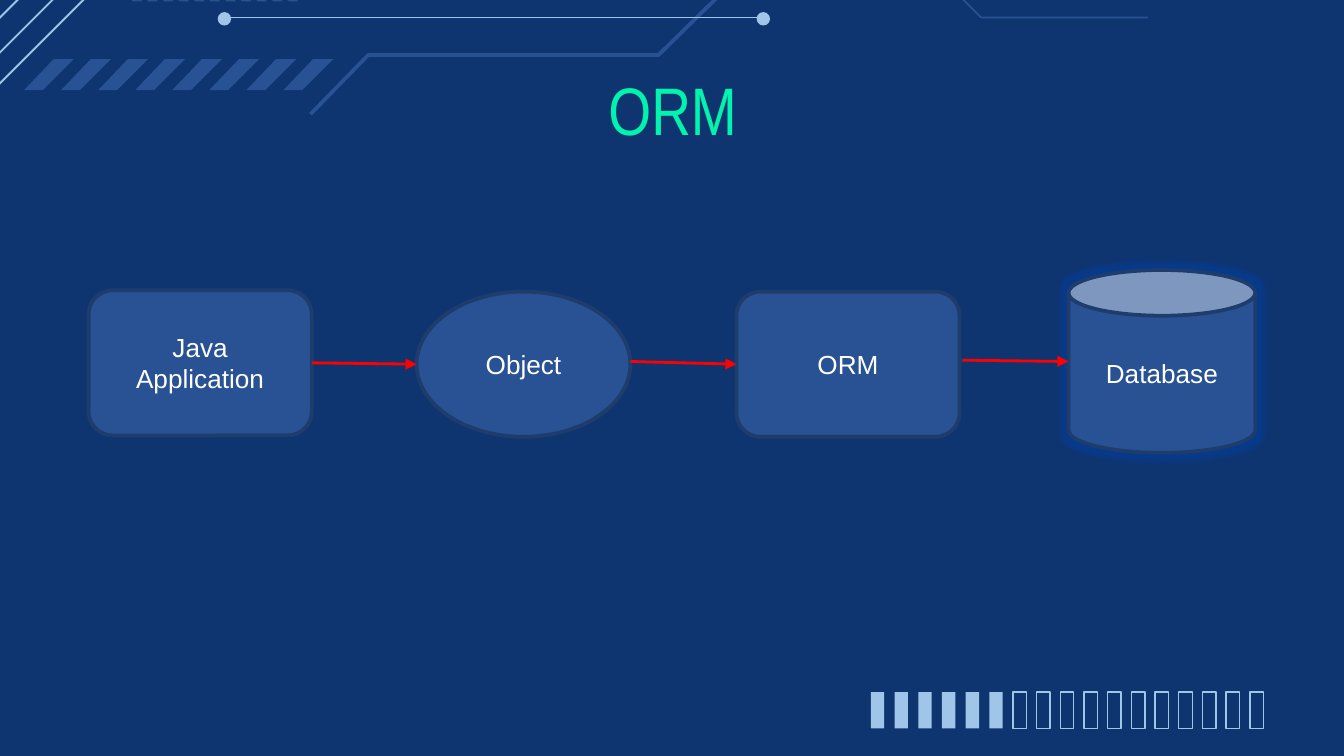
from dataclasses import dataclass

from lxml import etree
from pptx import Presentation
from pptx.dml.color import RGBColor
from pptx.enum.shapes import MSO_CONNECTOR, MSO_SHAPE as SHAPE
from pptx.enum.text import MSO_ANCHOR, MSO_AUTO_SIZE, PP_ALIGN
from pptx.oxml.ns import qn
from pptx.util import Inches, Pt


@dataclass(frozen=True)
class Theme:
    background: str = "0F3570"
    panel: str = "285293"
    border: str = "1E3D6D"
    light: str = "9FC5E8"
    accent: str = "00F4AD"
    arrow: str = "FF0000"
    glow: str = "0040A8"
    text: str = "FFFFFF"
    title_font: str = "Arial Narrow"
    body_font: str = "Arial"
    title_size: float = 36
    body_size: float = 14


THEME = Theme()


def rgb(value):
    return RGBColor.from_string(value)


def paint(shape, fill=None, line=None, width=1):
    """Give a shape a flat fill and outline; None means no paint."""
    shape.shadow.inherit = False
    if fill:
        shape.fill.solid()
        shape.fill.fore_color.rgb = rgb(fill)
    else:
        shape.fill.background()
    if line:
        shape.line.color.rgb = rgb(line)
        shape.line.width = Pt(width)
    else:
        shape.line.fill.background()


def add_preset(slide, kind, box, **colours):
    shape = slide.shapes.add_shape(kind, *map(Inches, box))
    paint(shape, **colours)
    return shape


def add_outline(slide, points, close, **colours):
    start, *rest = [(Inches(x), Inches(y)) for x, y in points]
    builder = slide.shapes.build_freeform(*start)
    builder.add_line_segments(rest, close=close)
    shape = builder.convert_to_shape()
    paint(shape, **colours)


def add_line(slide, start, end, colour, width):
    line = slide.shapes.add_connector(
        MSO_CONNECTOR.STRAIGHT, *map(Inches, (*start, *end)))
    line.line.color.rgb = rgb(colour)
    line.line.width = Pt(width)
    etree.SubElement(line._element.spPr, qn("a:effectLst"))
    return line


def style_text(frame, font, size, colour):
    for paragraph in frame.paragraphs:
        paragraph.alignment = PP_ALIGN.CENTER
        for run in paragraph.runs:
            run.font.name = font
            run.font.size = Pt(size)
            run.font.color.rgb = rgb(colour)


def add_circuit(slide, left, top):
    """Circuit traces and stripes along the top edge."""
    def place(points):
        return [(left + x, top + y) for x, y in points]

    # Bent traces
    traces = [
        ([(-0.19, 0.81), (1.27, -0.65), (2.59, -0.65), (3.14, -0.1),
          (4.49, -0.1), (5.29, -0.9), (6.04, -0.9)], THEME.light, 1),
        ([(2.31, 0.85), (2.74, 0.41), (4.9, 0.41), (5.47, -0.15),
          (6.46, -0.15)], THEME.panel, 2),
        ([(5.85, -0.38), (6.79, -0.38), (7.3, 0.13), (8.54, 0.13)],
         THEME.panel, 1),
    ]
    for points, colour, width in traces:
        add_outline(slide, place(points), False, line=colour, width=width)

    # Straight traces, the long one with a dot at each end
    for start, end in [((1.67, 0.13), (5.68, 0.13)),
                       ((-0.43, 0.82), (1.05, -0.66)),
                       ((-0.61, 0.74), (0.87, -0.74))]:
        add_line(slide, *place([start, end]), THEME.light, 1)
    for x in (1.62, 5.63):
        add_preset(slide, SHAPE.OVAL, (left + x, top + 0.09, 0.1, 0.1),
                   fill=THEME.light)

    # Slanted stripes, then chevrons cut by the slide edge
    stripe = [(0.14, 0.23), (0.37, 0), (0.22, 0), (0, 0.23)]
    chevron = [(0.19, 0.2), (0.07, 0.1), (0.18, 0), (0.1, 0), (0, 0.1),
               (0.12, 0.2)]
    stripe_pitch, chevron_pitch = (2.11 - 0.18) / 7, (2.03 - 0.87) / 10
    for points, count, x0, y0, pitch in [
            (stripe, 8, 0.18, 0.44, stripe_pitch),
            (chevron, 11, 0.87, -0.19, chevron_pitch)]:
        for i in range(count):
            moved = [(x0 + i * pitch + x, y0 + y) for x, y in points]
            add_outline(slide, place(moved), True, fill=THEME.panel)


def add_progress_bars(slide, left, top, width, height, count=17, filled=6):
    """Row of bars, the first ones solid and the rest hollow."""
    bar = 0.1
    pitch = (width - bar) / (count - 1)
    for i in range(count):
        colours = {"fill": THEME.light} if i < filled else {
            "line": THEME.light, "width": 0.75}
        add_preset(slide, SHAPE.RECTANGLE,
                   (left + i * pitch, top, bar, height), **colours)


def add_title(slide, text, box):
    title = slide.shapes.title
    title.left, title.top, title.width, title.height = map(Inches, box)
    frame = title.text_frame
    frame.text = text
    frame.auto_size = MSO_AUTO_SIZE.NONE
    frame.vertical_anchor = MSO_ANCHOR.TOP
    frame.margin_left = frame.margin_right = 0
    frame.margin_top = frame.margin_bottom = 0
    style_text(frame, THEME.title_font, THEME.title_size, THEME.accent)


def add_node(slide, text, kind, box):
    node = add_preset(slide, kind, box, fill=THEME.panel,
                      line=THEME.border, width=2)
    frame = node.text_frame
    frame.word_wrap = True
    frame.vertical_anchor = MSO_ANCHOR.MIDDLE
    frame.text = text
    style_text(frame, THEME.body_font, THEME.body_size, THEME.text)
    return node


def add_glow(shape, colour, radius, alpha):
    effects = shape._element.spPr.find(qn("a:effectLst"))
    glow = etree.SubElement(effects, qn("a:glow"), rad=str(Pt(radius)))
    tint = etree.SubElement(glow, qn("a:srgbClr"), val=colour)
    etree.SubElement(tint, qn("a:alpha"), val=str(alpha * 1000))


def add_arrow(slide, start, end):
    arrow = add_line(slide, start, end, THEME.arrow, 1.5)
    etree.SubElement(arrow.line._get_or_add_ln(), qn("a:tailEnd"),
                     type="triangle")
    return arrow


def add_flow(slide, left, top):
    """Application to database chain, left to right."""
    def node(text, kind, x, y, width, height):
        return add_node(slide, text, kind, (left + x, top + y, width, height))

    application = node("Java Application", SHAPE.ROUNDED_RECTANGLE,
                       0, 0.15, 1.66, 1.08)
    mapper = node("ORM", SHAPE.ROUNDED_RECTANGLE, 4.82, 0.16, 1.66, 1.08)
    node("Object", SHAPE.OVAL, 2.44, 0.16, 1.59, 1.08)
    database = node("Database", SHAPE.CAN, 7.29, 0, 1.39, 1.36)
    add_glow(database, THEME.glow, 6, 50)

    # Arrows; the last one starts just clear of its box
    to_object, to_mapper, _ = [
        add_arrow(slide, (left + x, top + y), (left + x + 0.79, top + y + 0.01))
        for x, y in ((1.65, 0.69), (4.03, 0.68), (6.5, 0.67))]
    to_object.begin_connect(application, 3)
    to_mapper.end_connect(mapper, 1)


def main():
    prs = Presentation()
    prs.slide_width = Inches(10)
    prs.slide_height = prs.slide_width * 9 // 16
    slide = prs.slides.add_slide(prs.slide_layouts[5])
    slide.background.fill.solid()
    slide.background.fill.fore_color.rgb = rgb(THEME.background)
    add_circuit(slide, 0, 0)
    add_progress_bars(slide, 6.48, 5.15, 2.92, 0.27)
    add_title(slide, "ORM", (0.79, 0.51, 8.43, 0.53))
    add_flow(slide, 0.66, 2.01)
    prs.save("out.pptx")


if __name__ == "__main__":
    main()
